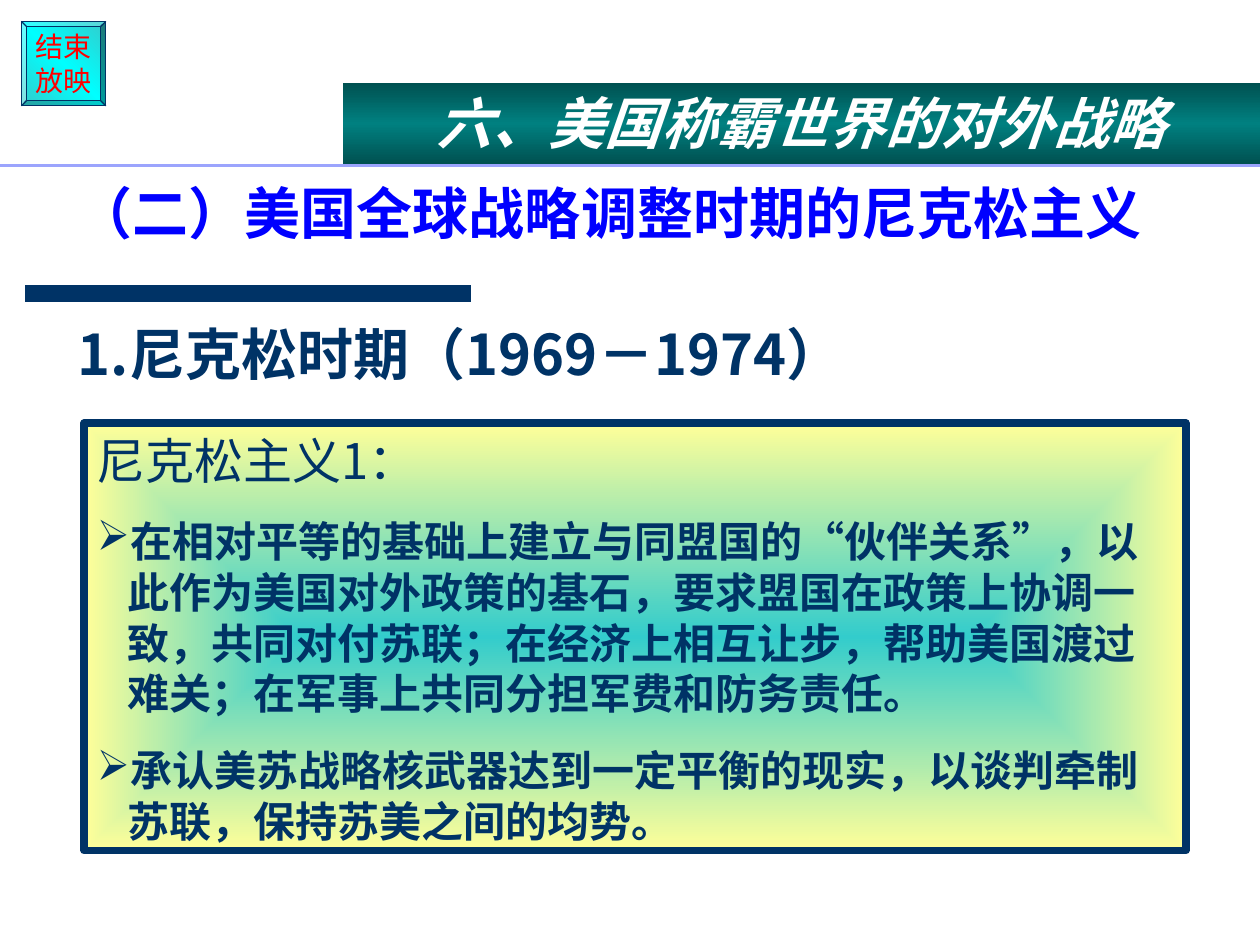
from dataclasses import dataclass

from pptx import Presentation
from pptx import util as u
from pptx.dml import color
from pptx.enum import lang, shapes, text
from pptx.oxml import ns, parse_xml
from pptx.oxml import xmlchemy as xml


@dataclass(frozen=True)
class Theme:
    """Colours, fonts and type sizes of the slide."""
    navy: str = "003366"
    blue: str = "0000FF"
    red: str = "FF0000"
    white: str = "FFFFFF"
    rule: str = "9BA4FD"
    aqua: str = "33CCCC"
    cyan: str = "00FFFF"
    yellow: str = "FFFF99"
    teal: str = "008080"
    dark_teal: str = "005151"
    sans: str = "Noto Sans CJK SC"
    latin: str = "Arial"
    heading: int = 32
    lead: int = 28
    body: int = 24
    button: int = 16


THEME = Theme()
LEADING = 1.2
BULLET_INDENT = 0.24


def rgb(value):
    """Turn a hex string into a colour."""
    return color.RGBColor.from_string(value)


def place(shape, left, top, width, height):
    """Set the position and size of a shape in inches."""
    shape.left, shape.top = u.Inches(left), u.Inches(top)
    shape.width, shape.height = u.Inches(width), u.Inches(height)


def set_gradient(shape, stops, angle=None):
    """Fill a shape with a linear gradient, or a centred one without an angle."""
    if angle is None:
        direction = ('<a:path path="rect"><a:fillToRect l="50000" t="50000" '
                     'r="50000" b="50000"/></a:path>')
    else:
        direction = f'<a:lin ang="{angle * 60000}" scaled="0"/>'
    step = 100000 // (len(stops) - 1)
    marks = "".join(f'<a:gs pos="{step * index}"><a:srgbClr val="{value}"/></a:gs>'
                    for index, value in enumerate(stops))
    shape.fill.background()
    properties = shape._element.spPr
    properties.replace(properties.find(ns.qn("a:noFill")), parse_xml(
        f'<a:gradFill {ns.nsdecls("a")} rotWithShape="1">'
        f'<a:gsLst>{marks}</a:gsLst>{direction}</a:gradFill>'))


def set_frame(shape, anchor=text.MSO_ANCHOR.TOP, wrap=True):
    """Prepare the text frame of a shape and return it."""
    frame = shape.text_frame
    frame.word_wrap = wrap
    frame.auto_size = text.MSO_AUTO_SIZE.NONE
    frame.vertical_anchor = anchor
    frame.margin_left = frame.margin_right = u.Inches(0.1)
    frame.margin_top = frame.margin_bottom = u.Inches(0.05)
    return frame


def add_bullet(para):
    """Give a paragraph an arrow bullet with a hanging indent."""
    properties = para._p.get_or_add_pPr()
    properties.set("marL", str(u.Inches(BULLET_INDENT)))
    properties.set("indent", str(-u.Inches(BULLET_INDENT)))
    for markup in (f'<a:buClr {ns.nsdecls("a")}><a:srgbClr val="{THEME.navy}"/></a:buClr>',
                   f'<a:buChar {ns.nsdecls("a")} char="➢"/>'):
        properties.append(parse_xml(markup))


def write(para, words, size, tint, bold=False, italic=False, font=THEME.sans,
          align=text.PP_ALIGN.LEFT, before=0, leading=LEADING):
    """Add one formatted run to a paragraph."""
    para.alignment = align
    para.space_before = u.Pt(before)
    para.line_spacing = u.Pt(round(size * leading))
    span = para.add_run()
    span.text = words
    span.font.name, span.font.size = font, u.Pt(size)
    span.font.bold, span.font.italic = bold, italic
    span.font.color.rgb = rgb(tint)
    span.font.language_id = lang.MSO_LANGUAGE_ID.SIMPLIFIED_CHINESE
    east = xml.OxmlElement("a:ea")
    east.set("typeface", THEME.sans)
    span.font._element.find(ns.qn("a:latin")).addnext(east)


def add_line(page, left, right, top, tint, width):
    """Draw a horizontal rule."""
    line = page.shapes.add_connector(shapes.MSO_CONNECTOR.STRAIGHT, u.Inches(left),
                                     u.Inches(top), u.Inches(right), u.Inches(top))
    line.line.color.rgb = rgb(tint)
    line.line.width = u.Pt(width)
    line._element.spPr.append(xml.OxmlElement("a:effectLst"))


def add_panel(page, kind, bounds, stops, angle=None, border=0):
    """Draw a gradient shape with an optional navy border."""
    panel = page.shapes.add_shape(kind, *map(u.Inches, bounds))
    panel.shadow.inherit = False
    set_gradient(panel, stops, angle)
    if border:
        panel.line.color.rgb = rgb(THEME.navy)
        panel.line.width = u.Pt(border)
    else:
        panel.line.fill.background()
    return panel


def add_button(page):
    """Draw the bevelled button that ends the show."""
    button = add_panel(page, shapes.MSO_SHAPE.BEVEL, (0.17, 0.17, 0.67, 0.67),
                       (THEME.aqua, THEME.cyan, THEME.aqua), 135, 0.75)
    button.adjustments[0] = 0.06
    frame = set_frame(button, text.MSO_ANCHOR.MIDDLE, wrap=False)
    for para, words in zip((frame.paragraphs[0], frame.add_paragraph()), ("结束", "放映")):
        write(para, words, THEME.button, THEME.red, font=THEME.latin,
              align=text.PP_ALIGN.CENTER)


def set_title(page, words):
    """Move and format the title placeholder."""
    title = page.shapes.title
    place(title, 0.51, 0.91, 8.67, 1.09)
    frame = set_frame(title, text.MSO_ANCHOR.BOTTOM)
    write(frame.paragraphs[0], words, THEME.heading, THEME.blue, bold=True,
          leading=0.9 * LEADING)


def add_period(page, words):
    """Add the heading that names the period."""
    box = page.shapes.add_textbox(*map(u.Inches, (0.52, 2.49, 8.81, 0.79)))
    write(set_frame(box).paragraphs[0], words, THEME.heading, THEME.navy, bold=True)


def add_doctrine(page, lead, points):
    """Add the bordered panel with a lead line and bulleted points."""
    panel = add_panel(page, shapes.MSO_SHAPE.RECTANGLE, (0.67, 3.36, 8.74, 3.39),
                      (THEME.aqua, THEME.yellow), border=4.5)
    frame = set_frame(panel)
    write(frame.paragraphs[0], lead, THEME.lead, THEME.navy)
    for words, font in points:
        para = frame.add_paragraph()
        add_bullet(para)
        write(para, words, THEME.body, THEME.navy, bold=True, font=font, before=15)


def add_banner(page, words):
    """Add the chapter banner at the top right."""
    banner = add_panel(page, shapes.MSO_SHAPE.RECTANGLE, (2.72, 0.66, 7.28, 0.64),
                       (THEME.dark_teal, THEME.teal, THEME.dark_teal), 90)
    write(set_frame(banner).paragraphs[0], words, THEME.heading, THEME.white,
          bold=True, italic=True, align=text.PP_ALIGN.CENTER)


def main():
    """Build the slide and save the deck."""
    deck = Presentation()
    deck.slide_width, deck.slide_height = u.Inches(10), u.Inches(7.5)
    page = deck.slides.add_slide(deck.slide_layouts[5])
    add_line(page, 0.2, 3.74, 2.33, THEME.navy, 10)
    add_button(page)
    set_title(page, "（二）美国全球战略调整时期的尼克松主义")
    add_period(page, "1.尼克松时期（1969－1974）")
    add_doctrine(page, "尼克松主义1：", (
        ("在相对平等的基础上建立与同盟国的“伙伴关系”，以此作为美国对外政策的基石，"
         "要求盟国在政策上协调一致，共同对付苏联；在经济上相互让步，帮助美国渡过难关；"
         "在军事上共同分担军费和防务责任。", THEME.sans),
        ("承认美苏战略核武器达到一定平衡的现实，以谈判牵制苏联，保持苏美之间的均势。",
         THEME.latin)))
    add_banner(page, "六、美国称霸世界的对外战略")
    add_line(page, 0, 10, 1.31, THEME.rule, 1.75)
    deck.save("out.pptx")


if __name__ == "__main__":
    main()
